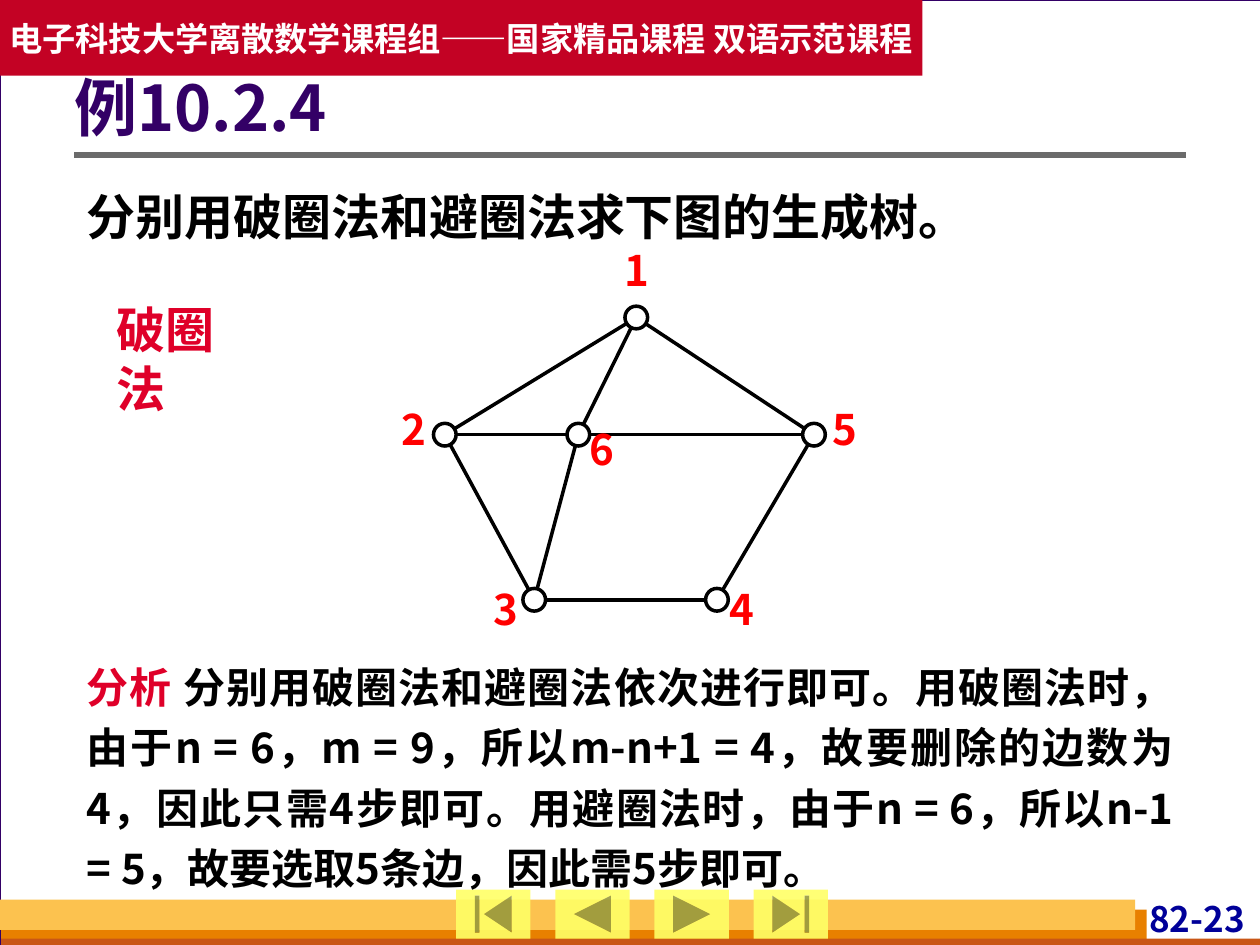
from math import hypot

from lxml.etree import SubElement
from pptx import Presentation
from pptx.dml.color import RGBColor
from pptx.enum.shapes import MSO_CONNECTOR, MSO_SHAPE
from pptx.enum.text import MSO_ANCHOR, PP_ALIGN
from pptx.oxml.ns import qn
from pptx.util import Inches, Pt

FONT = "Noto Sans CJK SC"
COLORS = {
    "background": "D8DADA", "white": "FFFFFF", "black": "000000",
    "title": "330066", "orange": "E88000", "rust": "C95616",
    "amber": "FCC24F", "number": "000099", "rule": "6B6B6B",
    "button": "FFFF66", "banner": "C30224", "accent": "DF0029",
    "label": "FF0000",
}
NODE_SIZE = 0.18
NODES = {
    "1": (5.05, 2.52), "2": (3.53, 3.45), "3": (4.24, 4.76),
    "4": (5.69, 4.76), "5": (6.46, 3.45), "6": (4.59, 3.45),
}
LABELS = {
    "1": (4.88, 1.94), "2": (3.11, 3.2), "3": (3.84, 4.63),
    "4": (5.71, 4.63), "5": (6.53, 3.2), "6": (4.6, 3.36),
}
EDGES = ["16", "65", "63", "26", "12", "54", "34", "15", "23"]
BUTTONS = [
    MSO_SHAPE.ACTION_BUTTON_BEGINNING,
    MSO_SHAPE.ACTION_BUTTON_BACK_OR_PREVIOUS,
    MSO_SHAPE.ACTION_BUTTON_FORWARD_OR_NEXT,
    MSO_SHAPE.ACTION_BUTTON_END,
]


def color(name):
    return RGBColor.from_string(COLORS[name])


def add_shape(slide, kind, box, fill, line=None, line_width=1):
    shape = slide.shapes.add_shape(kind, *map(Inches, box))
    shape.shadow.inherit = False
    shape.fill.solid()
    shape.fill.fore_color.rgb = color(fill)
    if line:
        shape.line.color.rgb = color(line)
        shape.line.width = Pt(line_width)
    else:
        shape.line.fill.background()
    return shape


def add_line(slide, start, end, line="black", width=2):
    connector = slide.shapes.add_connector(
        MSO_CONNECTOR.STRAIGHT, *map(Inches, (*start, *end)))
    connector.line.color.rgb = color(line)
    connector.line.width = Pt(width)
    SubElement(connector._element.spPr, qn("a:effectLst"))


def write_text(shape, *runs, size, align=PP_ALIGN.LEFT, spacing=1,
               anchor=MSO_ANCHOR.TOP, insets=(0.1, 0.05, 0.1, 0.05), wrap=True):
    frame = shape.text_frame
    frame.word_wrap = wrap
    frame.vertical_anchor = anchor
    (frame.margin_left, frame.margin_top,
     frame.margin_right, frame.margin_bottom) = map(Inches, insets)
    paragraph = frame.paragraphs[0]
    paragraph.alignment = align
    paragraph.line_spacing = spacing
    for text, name in runs:
        run = paragraph.add_run()
        run.text = text
        run.font.size = Pt(size)
        run.font.bold = True
        run.font.name = FONT
        run.font.color.rgb = color(name)
        SubElement(run.font._element, qn("a:ea"), typeface=FONT)


def add_text(slide, box, *runs, **text_format):
    write_text(slide.shapes.add_textbox(*map(Inches, box)), *runs, **text_format)


def add_frame(slide):
    rectangle = MSO_SHAPE.RECTANGLE
    add_shape(slide, rectangle, (0, 0, 10.01, 7.5), "white", "title", 0.75)
    add_shape(slide, rectangle, (0.01, 7.22, 9.09, 0.28), "orange")
    add_shape(slide, rectangle, (0.01, 7.45, 10, 0.08), "rust")
    add_shape(slide, rectangle, (0, 7.14, 9.01, 0.24), "amber")
    add_text(slide, (8.86, 7.12, 1.06, 0.38), ("82-23", "number"), size=20,
             align=PP_ALIGN.RIGHT, insets=(0.04, 0, 0.04, 0))
    add_line(slide, (0.59, 1.23), (9.41, 1.23), "rule", 3)
    for index, kind in enumerate(BUTTONS):
        button = add_shape(
            slide, kind, (3.62 + 0.787 * index, 7.06, 0.59, 0.39), "button")
        fill = button._element.spPr.find(qn("a:solidFill"))
        SubElement(fill[0], qn("a:alpha"), val="90000")
    banner = add_shape(slide, rectangle, (0, 0, 7.32, 0.6), "banner")
    write_text(banner, ("电子科技大学离散数学课程组——国家精品课程 双语示范课程", "white"),
               size=19, align=PP_ALIGN.CENTER, anchor=MSO_ANCHOR.MIDDLE,
               insets=(0, 0.05, 0, 0.05), wrap=False)


def add_edge(slide, start, end):
    (x1, y1), (x2, y2) = NODES[start], NODES[end]
    trim = NODE_SIZE / 2 / hypot(x2 - x1, y2 - y1)
    dx, dy = (x2 - x1) * trim, (y2 - y1) * trim
    add_line(slide, (x1 + dx, y1 + dy), (x2 - dx, y2 - dy))


def add_graph(slide):
    for start, end in EDGES:
        add_edge(slide, start, end)
    for x, y in NODES.values():
        box = (x - NODE_SIZE / 2, y - NODE_SIZE / 2, NODE_SIZE, NODE_SIZE)
        add_shape(slide, MSO_SHAPE.OVAL, box, "white", "black", 2)
    for name, position in LABELS.items():
        add_text(slide, (*position, 0.35, 0.4), (name, "label"), size=24,
                 align=PP_ALIGN.CENTER, insets=(0, 0, 0, 0))


def main():
    presentation = Presentation()
    presentation.slide_width = Inches(10)
    presentation.slide_height = Inches(7.5)
    slide = presentation.slides.add_slide(presentation.slide_layouts[6])
    slide.background.fill.solid()
    slide.background.fill.fore_color.rgb = color("background")
    add_frame(slide)
    add_text(slide, (0.59, 0.38, 8.82, 1.01), ("例10.2.4", "title"), size=36,
             spacing=0.9, anchor=MSO_ANCHOR.MIDDLE, insets=(0, 0.05, 0.1, 0.05))
    add_text(slide, (0.59, 1.34, 8.82, 0.66),
             ("分别用破圈法和避圈法求下图的生成树。", "black"), size=28,
             align=PP_ALIGN.JUSTIFY, spacing=1.2)
    add_graph(slide)
    add_text(slide, (0.59, 5.12, 8.82, 2.02), ("分析", "accent"),
             (" 分别用破圈法和避圈法依次进行即可。用破圈法时，由于n = 6，m = 9，"
              "所以m-n+1 = 4，故要删除的边数为4，因此只需4步即可。用避圈法时，"
              "由于n = 6，所以n-1 = 5，故要选取5条边，因此需5步即可。", "black"),
             size=24, align=PP_ALIGN.JUSTIFY, spacing=1.2)
    add_text(slide, (0.83, 2.33, 1.36, 0.57), ("破圈法", "accent"),
             size=28, wrap=False)
    presentation.save("out.pptx")


if __name__ == "__main__":
    main()
